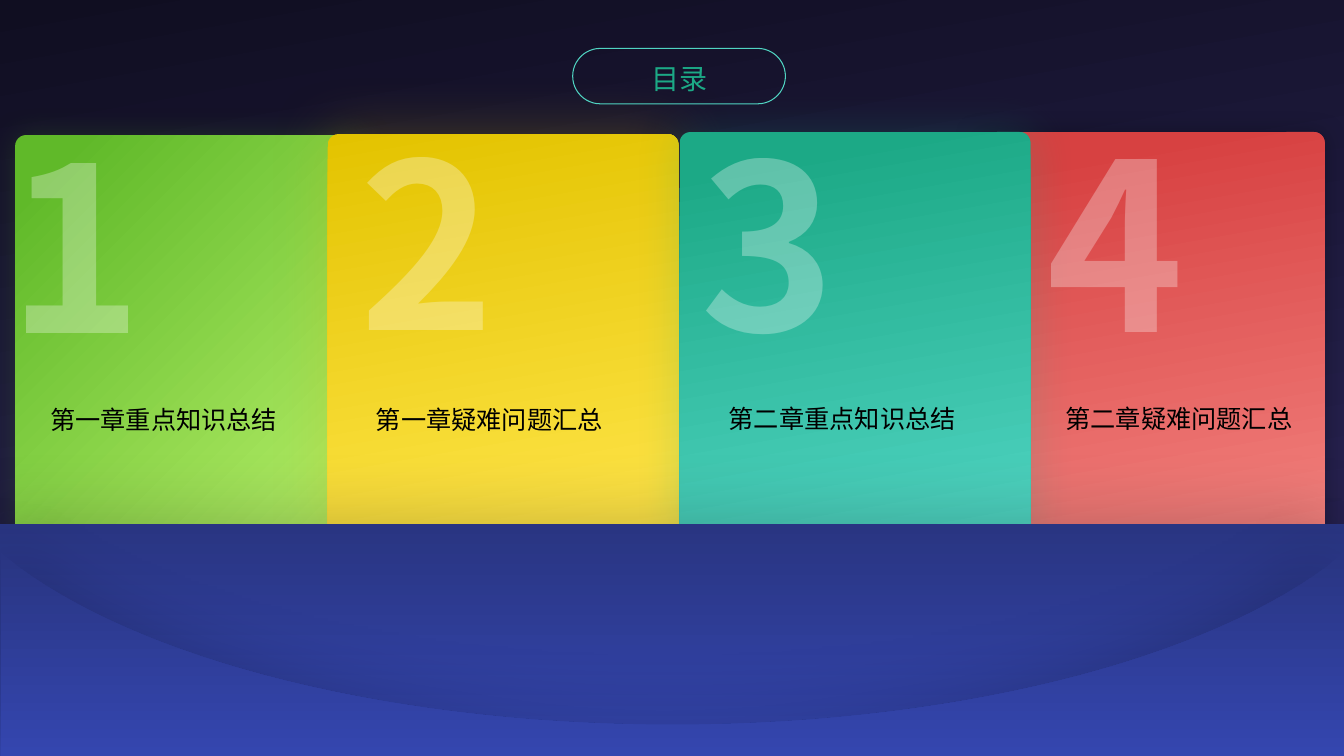
from lxml import etree
from pptx import Presentation
from pptx.dml.color import RGBColor
from pptx.enum.shapes import MSO_SHAPE
from pptx.enum.text import MSO_AUTO_SIZE, PP_ALIGN
from pptx.oxml.ns import qn
from pptx.util import Inches, Pt

RECTANGLE, ROUNDED = MSO_SHAPE.RECTANGLE, MSO_SHAPE.ROUNDED_RECTANGLE
CENTER, LEFT = PP_ALIGN.CENTER, PP_ALIGN.LEFT
GROW = MSO_AUTO_SIZE.SHAPE_TO_FIT_TEXT
FONT = "Noto Sans CJK SC"
color = RGBColor.from_string

deck = Presentation()
deck.slide_width, deck.slide_height = Inches(13.33), Inches(7.5)
page = deck.slides.add_slide(deck.slide_layouts[6])


def blend(fill, first, last, angle, start=0):
    fill.gradient()
    fill.gradient_angle = 360 - angle
    for stop, tone, position in zip(fill.gradient_stops, (first, last), (start, 1)):
        stop.color.rgb = color(tone)
        stop.position = position


def write(text, left, top, width, height, size, align):
    box = page.shapes.add_textbox(*map(Inches, (left, top, width, height)))
    box.text_frame.word_wrap = True
    box.text_frame.auto_size = GROW
    para = box.text_frame.paragraphs[0]
    para.alignment = align
    span = para.add_run()
    span.text = text
    span.font.size = Pt(size)
    span.font.name = FONT
    etree.SubElement(span.font._element, qn("a:ea"), typeface=FONT)
    return span.font


blend(page.background.fill, "100E21", "2E285F", 80)

shadows = []
cards = [
    (0.15, 1.34, "60B929", "B7F06A", 45, 0.09, "519C23", 22, 22),
    (9.66, 1.31, "D74141", "F2817E", 80, 0.09, "000000", 25, 16),
    (3.25, 1.33, "E3C300", "FFE54A", 80, 0, "CFB207", 25, 44),
    (6.74, 1.31, "1CA986", "50D4C2", 80, 0.09, "1CA986", 22, 32),
]
for left, top, first, last, angle, start, tone, alpha, blur in cards:
    card = page.shapes.add_shape(ROUNDED, Inches(left), Inches(top), Inches(3.48), Inches(4))
    card.adjustments[0] = 0.031
    card.line.fill.background()
    blend(card.fill, first, last, angle, start)
    shadows.append((card, tone, alpha, blur, 0, 0))

pill = page.shapes.add_shape(ROUNDED, Inches(5.68), Inches(0.48), Inches(2.11), Inches(0.55))
pill.adjustments[0] = 0.5
pill.shadow.inherit = False
pill.fill.background()
pill.line.color.rgb = color("50D4C2")
pill.line.width = Pt(0.75)
title_font = write("目录", 5.71, 0.56, 2.06, 0.44, 20, CENTER)
blend(title_font.fill, "1CA986", "50D4C2", 90)

numbers = [
    ("1", -0.65, 0.98, 2.8, 2.86, 164),
    ("2", 2.69, 0.95, 3.1, 2.86, 164),
    ("3", 5.76, 0.96, 3.73, 2.86, 164),
    ("4", 9.51, 0.93, 3.1, 2.91, 167),
]
for number in numbers:
    font = write(*number, CENTER)
    font.bold = True
    font.color.rgb = color("FFFFFF")
    tint = font._element.find(qn("a:solidFill"))[0]
    etree.SubElement(tint, qn("a:alpha"), val="30000")

panel = page.shapes.add_shape(RECTANGLE, 0, Inches(5.2), Inches(13.33), Inches(2.3))

curves = [
    ((0.18, 5.62), (1.43, 6.55), (3.86, 7.19), (6.67, 7.19)),
    ((6.67, 7.19), (9.47, 7.19), (11.91, 6.55), (13.16, 5.62)),
]
outline = [(13.33, 7.5), (0.01, 7.5), (0.01, 5.48), (0.18, 5.62)]
for curve in curves:
    for step in range(1, 31):
        t = step / 30
        weights = ((1 - t) ** 3, 3 * t * (1 - t) ** 2, 3 * t * t * (1 - t), t ** 3)
        outline.append(tuple(sum(w * point[axis] for w, point in zip(weights, curve))
                             for axis in (0, 1)))
builder = page.shapes.build_freeform(Inches(13.33), Inches(5.47))
builder.add_line_segments([(Inches(x), Inches(y)) for x, y in outline], close=True)
pocket = builder.convert_to_shape()

for front in (panel, pocket):
    front.line.fill.background()
    blend(front.fill, "293582", "3446AF", 90)
    shadows.append((front, "000000", 20, 50, 8, 225))

for shape, tone, alpha, blur, distance, direction in shadows:
    shape.shadow.inherit = False
    effects = shape._element.spPr.find(qn("a:effectLst"))
    outer = etree.SubElement(effects, qn("a:outerShdw"), blurRad=str(Pt(blur)),
                             dist=str(Pt(distance)), dir=str(direction * 60000),
                             algn="ctr", rotWithShape="0")
    shade = etree.SubElement(outer, qn("a:srgbClr"), val=tone)
    etree.SubElement(shade, qn("a:alpha"), val=str(alpha * 1000))

labels = [
    ("第一章重点知识总结", 0.4, 3.96),
    ("第一章疑难问题汇总", 3.63, 3.96),
    ("第二章疑难问题汇总", 10.47, 3.95),
    ("第二章重点知识总结", 7.13, 3.95),
]
for text, left, top in labels:
    font = write(text, left, top, 2.66, 0.4, 18, LEFT)
    font.color.rgb = color("000000")

deck.save("out.pptx")
